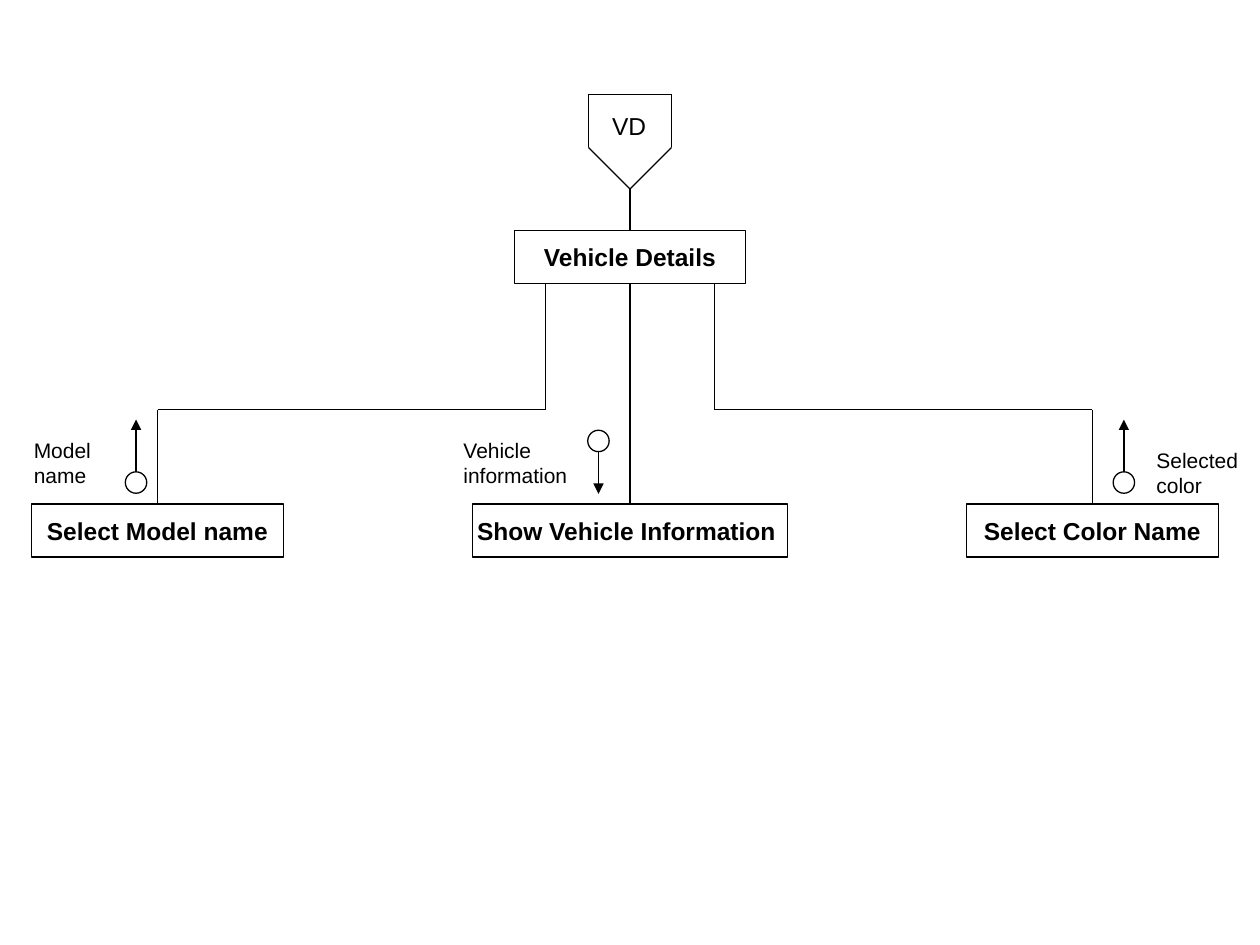
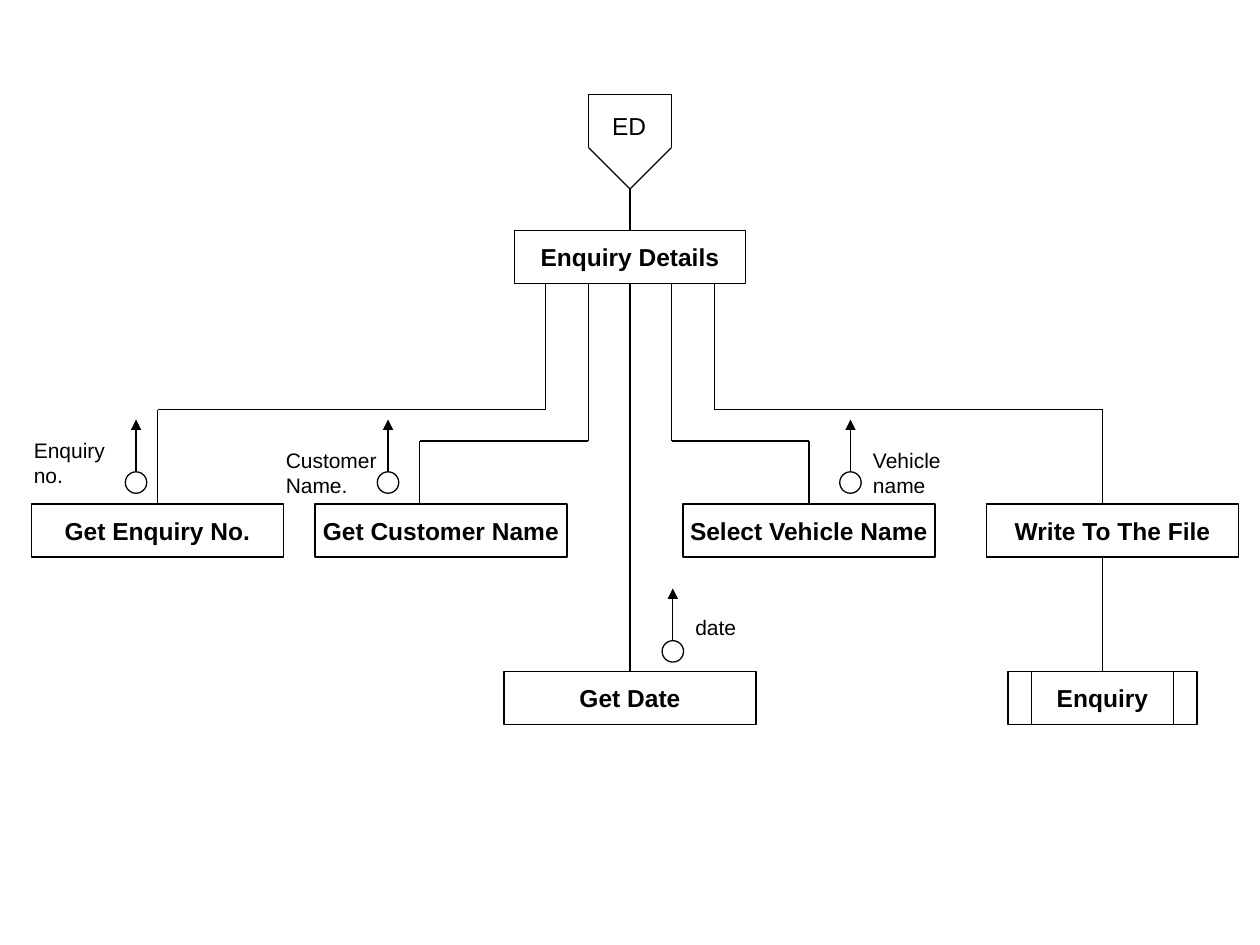
from dataclasses import dataclass
from itertools import pairwise

from lxml.etree import SubElement
from pptx import Presentation
from pptx.dml.color import RGBColor
from pptx.enum.shapes import MSO_CONNECTOR, MSO_SHAPE
from pptx.enum.text import MSO_ANCHOR, MSO_AUTO_SIZE, PP_ALIGN
from pptx.oxml.ns import qn
from pptx.util import Inches, Pt


@dataclass(frozen=True)
class Theme:
    ink: RGBColor = RGBColor(0, 0, 0)
    paper: RGBColor = RGBColor(255, 255, 255)
    font: str = "Arial"
    head: int = 14
    note: int = 12
    line: float = 0.75


THEME = Theme()

# Shared layout, in inches
MID = 5
ROOT, ROW, LOW = 1.83, 4, 5.33
TALL, WIDE = 0.42, 2
DOT = 0.17
TOP, BOTTOM = 0, 2


def write(frame, text, size=THEME.note, bold=False, align=PP_ALIGN.LEFT):
    frame.word_wrap = False
    for i, words in enumerate(text.split("\n")):
        para = frame.paragraphs[0] if i == 0 else frame.add_paragraph()
        para.alignment = align
        run = para.add_run()
        run.text = words
        font = run.font
        font.name, font.size, font.bold = THEME.font, Pt(size), bold
        font.color.rgb = THEME.ink


def shape(slide, kind, left, top, width, height):
    item = slide.shapes.add_shape(
        kind, Inches(left), Inches(top), Inches(width), Inches(height))
    item.shadow.inherit = False
    item.fill.solid()
    item.fill.fore_color.rgb = THEME.paper
    item.line.color.rgb = THEME.ink
    item.line.width = Pt(THEME.line)
    return item


def box(slide, text, mid, top=ROW, width=WIDE,
        kind=MSO_SHAPE.FLOWCHART_PROCESS):
    item = shape(slide, kind, mid - width / 2, top, width, TALL)
    item.text_frame.vertical_anchor = MSO_ANCHOR.MIDDLE
    write(item.text_frame, text, size=THEME.head, bold=True,
          align=PP_ALIGN.CENTER)
    return item


def label(slide, text, left, top, width, height=0.5, size=THEME.note):
    item = slide.shapes.add_textbox(
        Inches(left), Inches(top), Inches(width), Inches(height))
    write(item.text_frame, text, size=size)
    item.text_frame.auto_size = MSO_AUTO_SIZE.SHAPE_TO_FIT_TEXT


def line(slide, start, end, arrow=False):
    item = slide.shapes.add_connector(
        MSO_CONNECTOR.STRAIGHT, *map(Inches, (*start, *end)))
    item.line.color.rgb = THEME.ink
    item.line.width = Pt(THEME.line)
    props = item._element.spPr
    if arrow:
        SubElement(props.find(qn("a:ln")), qn("a:tailEnd"), type="triangle")
    SubElement(props, qn("a:effectLst"))
    return item


def path(slide, *points):
    return [line(slide, a, b) for a, b in pairwise(points)]


def centred(item, x):
    return abs(item.left + item.width / 2 - Inches(x)) < Inches(0.01)


def branch(slide, root, child, start, end=None, bend=3.25):
    """Run a line from the foot of root to the top of child."""
    end = start if end is None else end
    foot = (root.top + root.height) / Inches(1)
    tip = child.top / Inches(1)
    bends = [] if start == end else [(start, bend), (end, bend)]
    parts = path(slide, (start, foot), *bends, (end, tip))
    if centred(root, start):
        parts[0].begin_connect(root, BOTTOM)
    if centred(child, end):
        parts[-1].end_connect(child, TOP)


def flow(slide, x, y=3.83, reach=-0.5):
    """Draw a data arrow that leaves a small circle."""
    line(slide, (x, y), (x, y + reach), arrow=True)
    shape(slide, MSO_SHAPE.OVAL, x - DOT / 2, y - DOT / 2, DOT, DOT)


def header(slide, code, title):
    """Draw the off-page mark and the root box."""
    left, right, top, side, tip = 4.67, 5.33, 0.75, 1.17, 1.5
    path(slide, (MID, tip), (left, side), (left, top),
         (right, top), (right, side), (MID, tip))
    label(slide, code, 4.76, 0.83, 0.48, 0.34, size=THEME.head)
    root = box(slide, title, MID, ROOT, 1.83)
    line(slide, (MID, tip), (MID, ROOT)).end_connect(root, TOP)
    return root


def vehicle(slide):
    root = header(slide, "VD", "Vehicle Details")
    # Modules
    for text, start, end, width in (
            ("Select Model name", 4.33, 1.25, WIDE),
            ("Show Vehicle Information ", MID, MID, 2.5),
            ("Select Color Name", 5.67, 8.67, WIDE)):
        branch(slide, root, box(slide, text, end, width=width), start, end)
    # Data flows
    label(slide, "Model\nname", 0.17, 3.42, 0.7)
    label(slide, "Vehicle\ninformation", 3.58, 3.42, 1.07)
    label(slide, "Selected\ncolor", 9.08, 3.5, 0.9)
    flow(slide, 1.08)
    flow(slide, 4.75, 3.5, 0.42)
    flow(slide, 8.92)


def enquiry(slide):
    root = header(slide, "ED", "Enquiry Details")
    # Modules
    for text, mid, start, end, bend in (
            ("Get Enquiry No.", 1.25, 4.33, 1.25, 3.25),
            ("Get Customer Name", 3.5, 4.67, 3.33, 3.5),
            ("Select Vehicle Name", 6.42, 5.33, 6.42, 3.5)):
        branch(slide, root, box(slide, text, mid), start, end, bend)
    branch(slide, root, box(slide, "Get Date", MID, LOW), MID)
    # File output
    output = box(slide, "Write To The File", 8.83)
    branch(slide, root, output, 5.67, 8.75)
    store = box(slide, "Enquiry", 8.75, LOW, 1.5,
                MSO_SHAPE.FLOWCHART_PREDEFINED_PROCESS)
    branch(slide, output, store, 8.75)
    # Data flows
    label(slide, "Enquiry\nno.", 0.17, 3.42, 0.81)
    label(slide, "Customer\nName.", 2.17, 3.5, 0.97)
    label(slide, "Vehicle\nname", 6.83, 3.5, 0.79)
    label(slide, "date", 5.42, 4.83, 0.57)
    for x in (1.08, 3.08, 6.75):
        flow(slide, x)
    flow(slide, 5.34, 5.17)


def main():
    deck = Presentation()
    deck.slide_width, deck.slide_height = Inches(10), Inches(7.5)
    for draw in (vehicle, enquiry):
        draw(deck.slides.add_slide(deck.slide_layouts[6]))
    deck.save("out.pptx")


if __name__ == "__main__":
    main()
